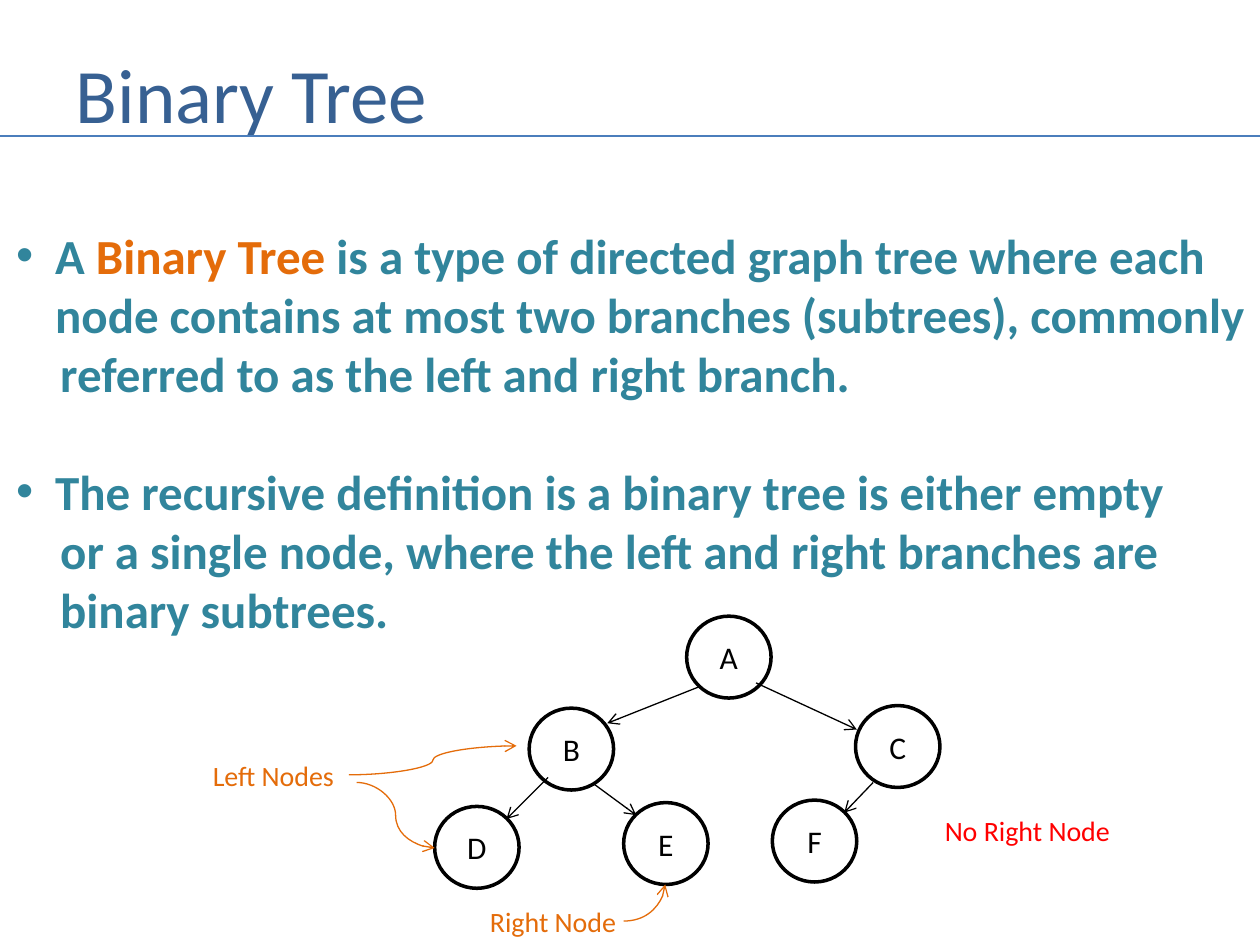
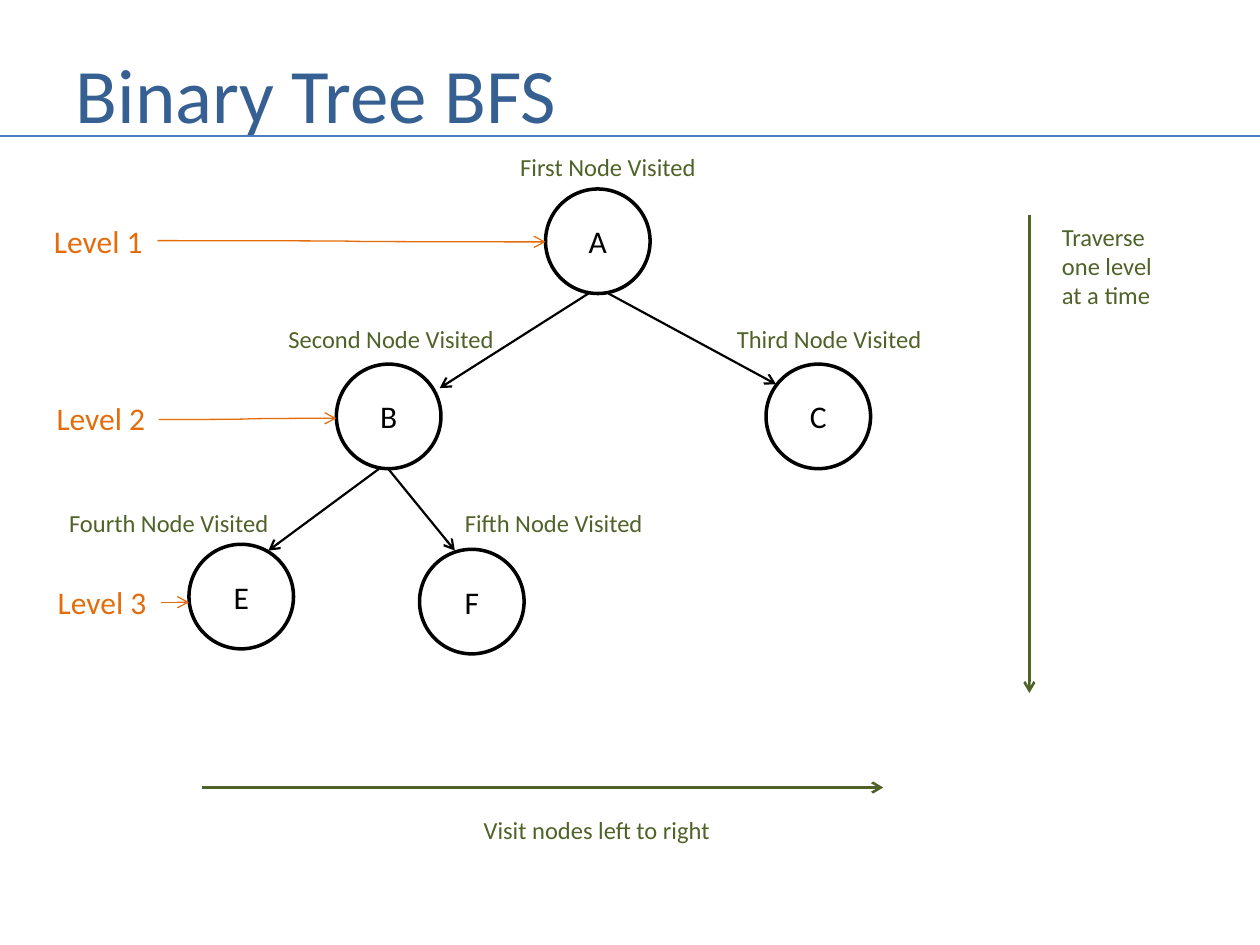
from lxml import etree
from pptx import Presentation
from pptx.dml.color import RGBColor
from pptx.enum.shapes import MSO_CONNECTOR, MSO_SHAPE
from pptx.enum.text import MSO_ANCHOR, MSO_AUTO_SIZE, PP_ALIGN
from pptx.oxml.ns import qn
from pptx.util import Inches, Pt

TITLE_BLUE = RGBColor(0x37, 0x60, 0x92)
RULE_BLUE = RGBColor(0x4B, 0x7E, 0xBC)
TEAL = RGBColor(0x31, 0x85, 0x9C)
ORANGE = RGBColor(0xE4, 0x6C, 0x0A)
GREEN = RGBColor(0x4F, 0x62, 0x28)
RED = RGBColor(0xFF, 0x00, 0x00)
BLACK = RGBColor(0x00, 0x00, 0x00)

FONT = "Calibri"
TITLE_ONLY = 5
STRAIGHT, CURVE = MSO_CONNECTOR.STRAIGHT, MSO_CONNECTOR.CURVE
OVAL = MSO_SHAPE.OVAL
MIDDLE = MSO_ANCHOR.MIDDLE
LEFT, CENTER = PP_ALIGN.LEFT, PP_ALIGN.CENTER
NO_FIT, GROW = MSO_AUTO_SIZE.NONE, MSO_AUTO_SIZE.SHAPE_TO_FIT_TEXT


def add_run(p, text, size, color, bold=None):
    """Add one formatted run to a paragraph."""
    r = p.add_run()
    r.text = text
    r.font.name, r.font.size, r.font.bold = FONT, Pt(size), bold
    r.font.color.rgb = color


def add_line(s, start, end, color, width=0.75, kind=STRAIGHT, arrow=True):
    """Draw a connector between two points, with an arrowhead at its end."""
    c = s.shapes.add_connector(kind, *map(Inches, start + end))
    c.line.color.rgb = color
    c.line.width = Pt(width)
    spPr = c._element.spPr
    if arrow:
        etree.SubElement(spPr.find(qn("a:ln")), qn("a:tailEnd"), type="arrow")
    etree.SubElement(spPr, qn("a:effectLst"))
    return c


def add_slide(prs, title):
    """Add a slide with the shared title style and rule."""
    s = prs.slides.add_slide(prs.slide_layouts[TITLE_ONLY])
    sp = s.shapes.title
    sp.left, sp.top, sp.width, sp.height = map(Inches, (0.5, 0.3, 9.08, 0.87))
    tf = sp.text_frame
    tf.auto_size, tf.vertical_anchor = NO_FIT, MIDDLE
    p = tf.paragraphs[0]
    p.alignment = LEFT
    add_run(p, title, 44, TITLE_BLUE)
    add_line(s, (0, 1.08), (10, 1.08), RULE_BLUE, 1.5, arrow=False)
    return s


def add_node(s, name, left, top, width, height):
    """Draw one tree node as an outlined circle holding its name."""
    sp = s.shapes.add_shape(OVAL, *map(Inches, (left, top, width, height)))
    sp.shadow.inherit = False
    sp.fill.background()
    sp.line.color.rgb = BLACK
    sp.line.width = Pt(2)
    tf = sp.text_frame
    tf.vertical_anchor = MIDDLE
    p = tf.paragraphs[0]
    p.alignment = CENTER
    add_run(p, name, 18, BLACK)


def add_box(s, left, top, width, height, wrap=False):
    """Add an empty text box and return its text frame."""
    tf = s.shapes.add_textbox(*map(Inches, (left, top, width, height))).text_frame
    tf.word_wrap, tf.auto_size = wrap, GROW
    return tf


def add_label(s, lines, box, size, color, wrap=False):
    """Add a plain label, one paragraph per line."""
    tf = add_box(s, *box, wrap=wrap)
    for i, line in enumerate(lines):
        p = tf.add_paragraph() if i else tf.paragraphs[0]
        add_run(p, line, size, color)


def format_point(p, indent, bullet=False):
    """Indent a body paragraph, with a hanging bullet if asked for."""
    pPr = p._p.get_or_add_pPr()
    pPr.set("marL", str(Inches(indent)))
    pPr.set("indent", str(-Inches(indent) if bullet else 0))
    if bullet:
        clr = etree.SubElement(pPr, qn("a:buClr"))
        etree.SubElement(clr, qn("a:srgbClr"), val=str(TEAL))
        etree.SubElement(pPr, qn("a:buFont"), typeface="Arial")
        etree.SubElement(pPr, qn("a:buChar"), char="\u2022")


def add_definitions(s):
    """Write the two bulleted definitions."""
    tf = add_box(s, 0.03, 1.27, 10.06, 3.87)
    tf.margin_top = Inches(0.52)
    p = tf.paragraphs[0]
    format_point(p, 0.31, bullet=True)
    add_run(p, "A ", 28, TEAL, True)
    add_run(p, "Binary Tree ", 28, ORANGE, True)
    add_run(p, "is a type of directed graph tree where each ", 28, TEAL, True)
    p.add_line_break()
    add_run(p, "node contains at most two branches (subtrees), commonly", 28, TEAL, True)
    for text, bullet in [
        ("referred to as the left and right branch.", False),
        ("The recursive definition is a binary tree is either empty", True),
        ("or a single node, where the left and right branches are", False),
        ("binary subtrees.", False),
    ]:
        p = tf.add_paragraph()
        if bullet:
            p.space_before = Pt(34)
        format_point(p, 0.31 if bullet else 0.35, bullet)
        add_run(p, text, 28, TEAL, True)


def build_definition_slide(prs):
    """Define the binary tree and show an example."""
    s = add_slide(prs, "Binary Tree")
    add_definitions(s)
    for name, left, top in [("A", 5.45, 4.89), ("B", 4.2, 5.62), ("C", 6.79, 5.6),
                            ("D", 3.45, 6.4), ("E", 4.95, 6.37), ("F", 6.13, 6.35)]:
        add_node(s, name, left, top, 0.67, 0.65)
    for start, end in [((5.55, 5.45), (4.82, 5.74)), ((6, 5.42), (6.8, 5.79)),
                       ((4.35, 6.17), (4.02, 6.5)), ((4.71, 6.22), (5.05, 6.47)),
                       ((6.93, 6.21), (6.7, 6.45))]:
        add_line(s, start, end, BLACK)
    for text, left, top, width, color in [("Left Nodes", 1.59, 5.97, 1.18, ORANGE),
                                          ("Right Node", 3.79, 7.13, 1.22, ORANGE),
                                          ("No Right Node", 7.4, 6.41, 1.53, RED)]:
        add_label(s, [text], (left, top, width, 0.37), 16, color)
    add_line(s, (2.77, 6.15), (4.1, 5.92), ORANGE, kind=CURVE)
    add_line(s, (2.83, 6.21), (3.45, 6.73), ORANGE, kind=CURVE)
    quarter = add_line(s, (4.95, 7.31), (5.28, 7.02), ORANGE, kind=CURVE)
    quarter._element.spPr.find(qn("a:prstGeom")).set("prst", "curvedConnector2")


def build_bfs_slide(prs):
    """Show the order of a breadth-first search."""
    s = add_slide(prs, "Binary Tree BFS")
    for start, end in [((4.67, 2.33), (3.49, 3.08)), ((4.83, 2.33), (6.16, 3.05)),
                       ((3.01, 3.72), (2.13, 4.37)), ((3.08, 3.72), (3.61, 4.37))]:
        add_line(s, start, end, BLACK, 1.25)
    for name, left, top in [("A", 4.33, 1.5), ("B", 2.67, 2.89), ("C", 6.08, 2.89),
                            ("E", 1.5, 4.32), ("F", 3.33, 4.36)]:
        add_node(s, name, left, top, 0.83, 0.83)
    levels = [(0.33, 1.71, (1.25, 1.91), (4.33, 1.92)),
              (0.35, 3.12, (1.26, 3.33), (2.67, 3.32)),
              (0.36, 4.58, (1.28, 4.78), (1.5, 4.78))]
    for number, (left, top, start, end) in enumerate(levels, 1):
        add_label(s, [f"Level {number}"], (left, top, 0.92, 0.4), 18, ORANGE)
        add_line(s, start, end, ORANGE, kind=CURVE)
    for rank, left, top, width in [("First", 4.03, 1.16, 1.61), ("Second", 2.19, 2.52, 1.89),
                                   ("Third", 5.75, 2.52, 1.73), ("Fourth", 0.45, 3.98, 1.8),
                                   ("Fifth", 3.59, 3.98, 1.68)]:
        add_label(s, [f"{rank} Node Visited"], (left, top, width, 0.34), 14, GREEN)
    add_line(s, (8.17, 1.71), (8.17, 5.5), GREEN, 1.5)
    add_label(s, ["Traverse", "one level", "at a time"], (8.33, 1.71, 0.95, 0.81), 14, GREEN)
    add_line(s, (1.6, 6.25), (7.01, 6.25), GREEN, 1.5)
    add_label(s, ["Visit nodes left to right"], (3.74, 6.42, 2.33, 0.34), 14, GREEN, wrap=True)


def main():
    """Build and save the presentation."""
    prs = Presentation()
    prs.slide_width, prs.slide_height = Inches(10), Inches(7.5)
    build_definition_slide(prs)
    build_bfs_slide(prs)
    prs.save("out.pptx")


main()
